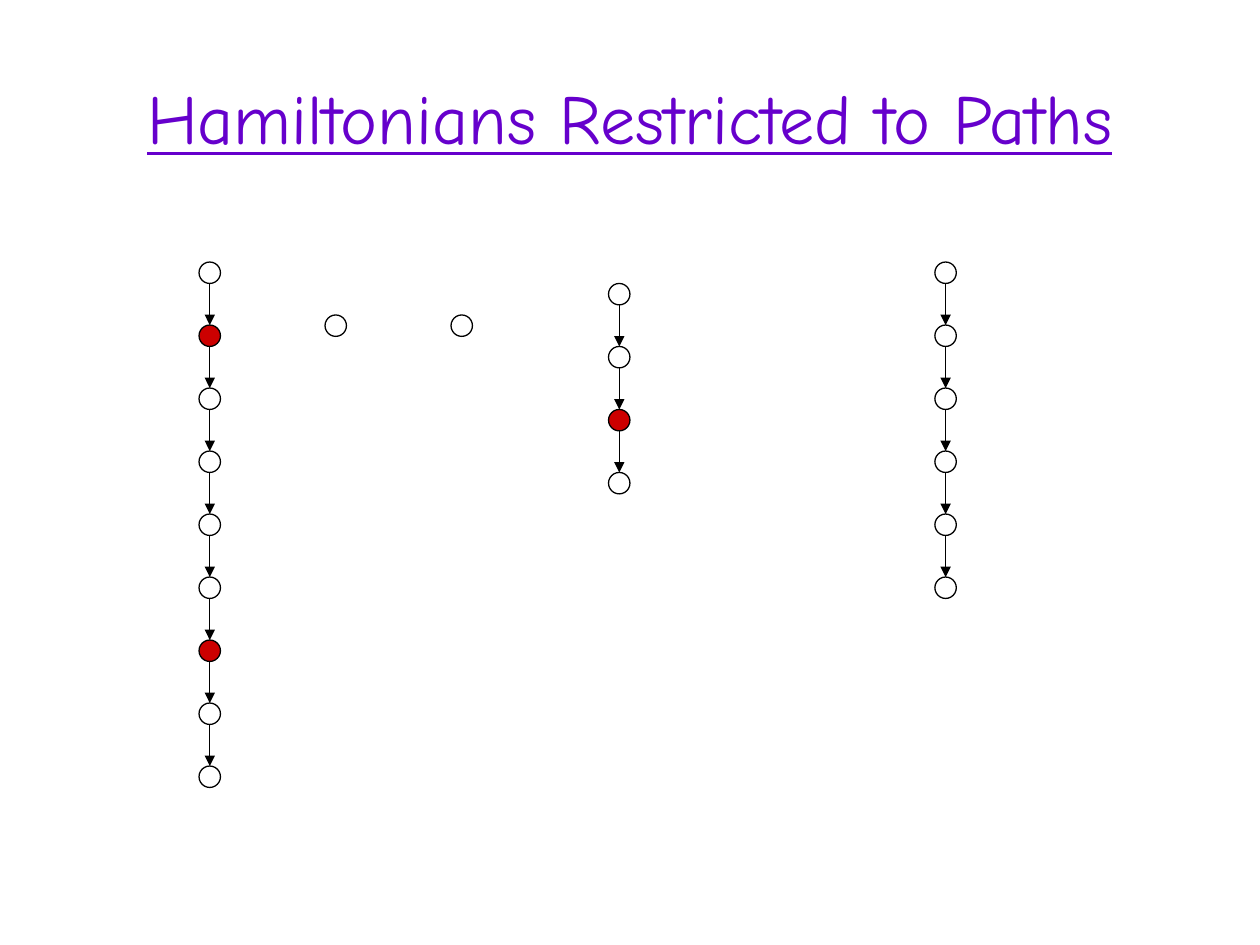
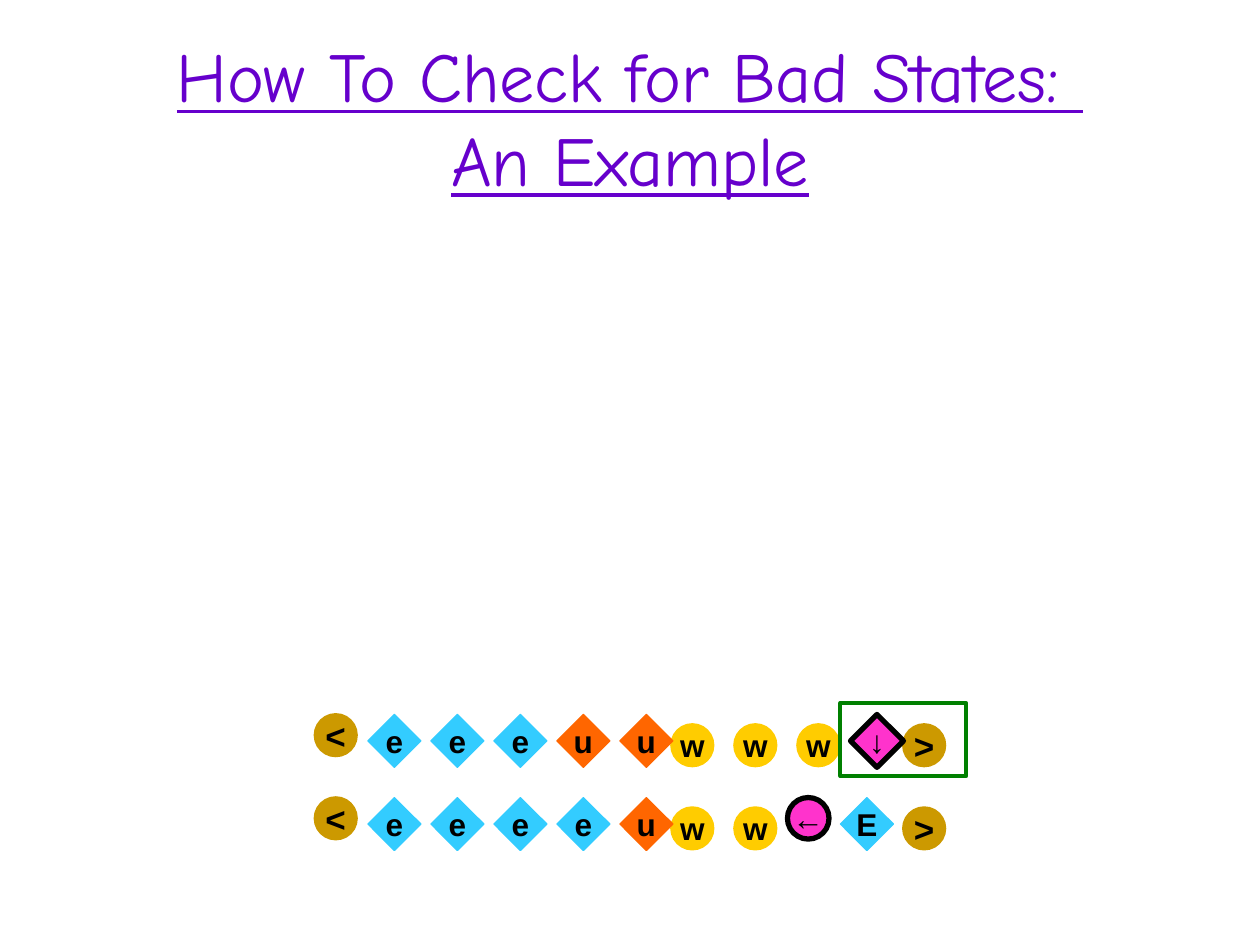
import dataclasses

import lxml.etree
import pptx
import pptx.dml.color
import pptx.enum.shapes
import pptx.enum.text
import pptx.oxml.ns
import pptx.util

Inches = pptx.util.Inches
Pt = pptx.util.Pt
OVAL = pptx.enum.shapes.MSO_SHAPE.OVAL
DIAMOND = pptx.enum.shapes.MSO_SHAPE.DIAMOND
RECTANGLE = pptx.enum.shapes.MSO_SHAPE.RECTANGLE

BLACK = "000000"
PURPLE = "6600CC"
RED = "CC0000"
GREEN = "008000"
YELLOW = "FFCC00"
GOLD = "CC9900"
BLUE = "33CCFF"
ORANGE = "FF6600"
PINK = "FF33CC"

NODE_SIZE = 0.17
STEP = 0.5
PATHS = [
    (1.58, 2.08, 9, {1, 6}),
    (2.58, 2.5, 1, set()),
    (3.58, 2.5, 1, set()),
    (4.83, 2.25, 4, {2}),
    (7.42, 2.08, 6, set()),
]


@dataclasses.dataclass
class Symbol:
    preset: int
    size: float
    fill: str
    line: str
    line_width: float
    shift: float = 0
    drop: float = 0
    font_size: int = 18
    bold: bool = True


SYMBOLS = {
    "w": Symbol(OVAL, 0.33, YELLOW, YELLOW, 1.5, shift=-0.09, drop=0.08),
    ">": Symbol(OVAL, 0.33, GOLD, GOLD, 1.5, shift=-0.25, drop=0.08, font_size=20),
    "<": Symbol(OVAL, 0.33, GOLD, GOLD, 1.5, shift=0.08, font_size=20),
    "e": Symbol(DIAMOND, 0.42, BLUE, BLUE, 0.75),
    "E": Symbol(DIAMOND, 0.42, BLUE, BLUE, 0.75, shift=-0.25),
    "u": Symbol(DIAMOND, 0.42, ORANGE, ORANGE, 0.75),
    "↓": Symbol(DIAMOND, 0.42, PINK, BLACK, 3, shift=-0.17, bold=False),
    "←": Symbol(OVAL, 0.33, PINK, BLACK, 3, shift=-0.17, bold=False),
}
STACKING = list(SYMBOLS)
STATES_LEFT = 2.42
STATES = [("<eeeuuwww↓>", 5.67), ("<eeeeuww←E>", 6.33)]


def color(value):
    return pptx.dml.color.RGBColor.from_string(value)


class Deck:
    title_font = "Comic Neue"
    symbol_font = "Arial"

    def __init__(self):
        self.presentation = pptx.Presentation()
        self.presentation.slide_width = Inches(10)
        self.presentation.slide_height = Inches(7.5)
        self.slide = None

    def add_slide(self, *title_lines):
        layout = self.presentation.slide_layouts.get_by_name("Title Only")
        self.slide = self.presentation.slides.add_slide(layout)
        title = self.slide.shapes.title
        title.left, title.top = Inches(0.5), Inches(0.3)
        title.width, title.height = Inches(9), Inches(1.25)
        frame = title.text_frame
        frame.auto_size = pptx.enum.text.MSO_AUTO_SIZE.NONE
        frame.vertical_anchor = pptx.enum.text.MSO_ANCHOR.MIDDLE
        paragraph = frame.paragraphs[0]
        paragraph.alignment = pptx.enum.text.PP_ALIGN.CENTER
        for index, line in enumerate(title_lines):
            if index:
                paragraph.add_line_break()
            run = self.add_run(paragraph, line, self.title_font, 40, PURPLE)
            run.font.underline = True

    def add_run(self, paragraph, text, font, size, text_color):
        run = paragraph.add_run()
        run.text = text
        run.font.name = font
        run.font.size = Pt(size)
        run.font.color.rgb = color(text_color)
        return run

    def add_outline(self, preset, left, top, width, height, line, line_width, fill=None):
        shape = self.slide.shapes.add_shape(
            preset, Inches(left), Inches(top), Inches(width), Inches(height))
        shape.shadow.inherit = False
        shape.line.color.rgb = color(line)
        shape.line.width = Pt(line_width)
        if fill:
            shape.fill.solid()
            shape.fill.fore_color.rgb = color(fill)
        else:
            shape.fill.background()
        return shape

    def add_arrow(self, x, top, bottom):
        arrow = self.slide.shapes.add_connector(
            pptx.enum.shapes.MSO_CONNECTOR.STRAIGHT,
            Inches(x), Inches(top), Inches(x), Inches(bottom))
        arrow.line.color.rgb = color(BLACK)
        arrow.line.width = Pt(0.75)
        qn = pptx.oxml.ns.qn
        lxml.etree.SubElement(arrow.line._get_or_add_ln(), qn("a:tailEnd"), type="triangle")
        lxml.etree.SubElement(arrow._element.spPr, qn("a:effectLst"))

    def add_path(self, left, top, count, marked):
        for index in range(count):
            node_top = top + index * STEP
            self.add_outline(OVAL, left, node_top, NODE_SIZE, NODE_SIZE, BLACK, 0.75,
                             RED if index in marked else None)
            if index < count - 1:
                self.add_arrow(left + NODE_SIZE / 2, node_top + NODE_SIZE, node_top + STEP)

    def add_symbol(self, text, left, top):
        symbol = SYMBOLS[text]
        shape = self.add_outline(
            symbol.preset, left + symbol.shift, top + symbol.drop, symbol.size, symbol.size,
            symbol.line, symbol.line_width, symbol.fill)
        frame = shape.text_frame
        frame.word_wrap = False
        frame.vertical_anchor = pptx.enum.text.MSO_ANCHOR.MIDDLE
        paragraph = frame.paragraphs[0]
        paragraph.alignment = pptx.enum.text.PP_ALIGN.CENTER
        run = self.add_run(paragraph, text, self.symbol_font, symbol.font_size, BLACK)
        run.font.bold = symbol.bold

    def add_state(self, state, top):
        columns = sorted(enumerate(state), key=lambda item: STACKING.index(item[1]))
        for column, text in columns:
            self.add_symbol(text, STATES_LEFT + column * STEP, top)


def main():
    deck = Deck()

    deck.add_slide("Hamiltonians Restricted to Paths")
    for path in PATHS:
        deck.add_path(*path)

    deck.add_slide("How To Check for Bad States: ", "An Example")
    for state, top in STATES:
        deck.add_state(state, top)
    deck.add_outline(RECTANGLE, 6.67, 5.58, 1, 0.58, GREEN, 2.25)

    deck.presentation.save("out.pptx")


if __name__ == "__main__":
    main()
